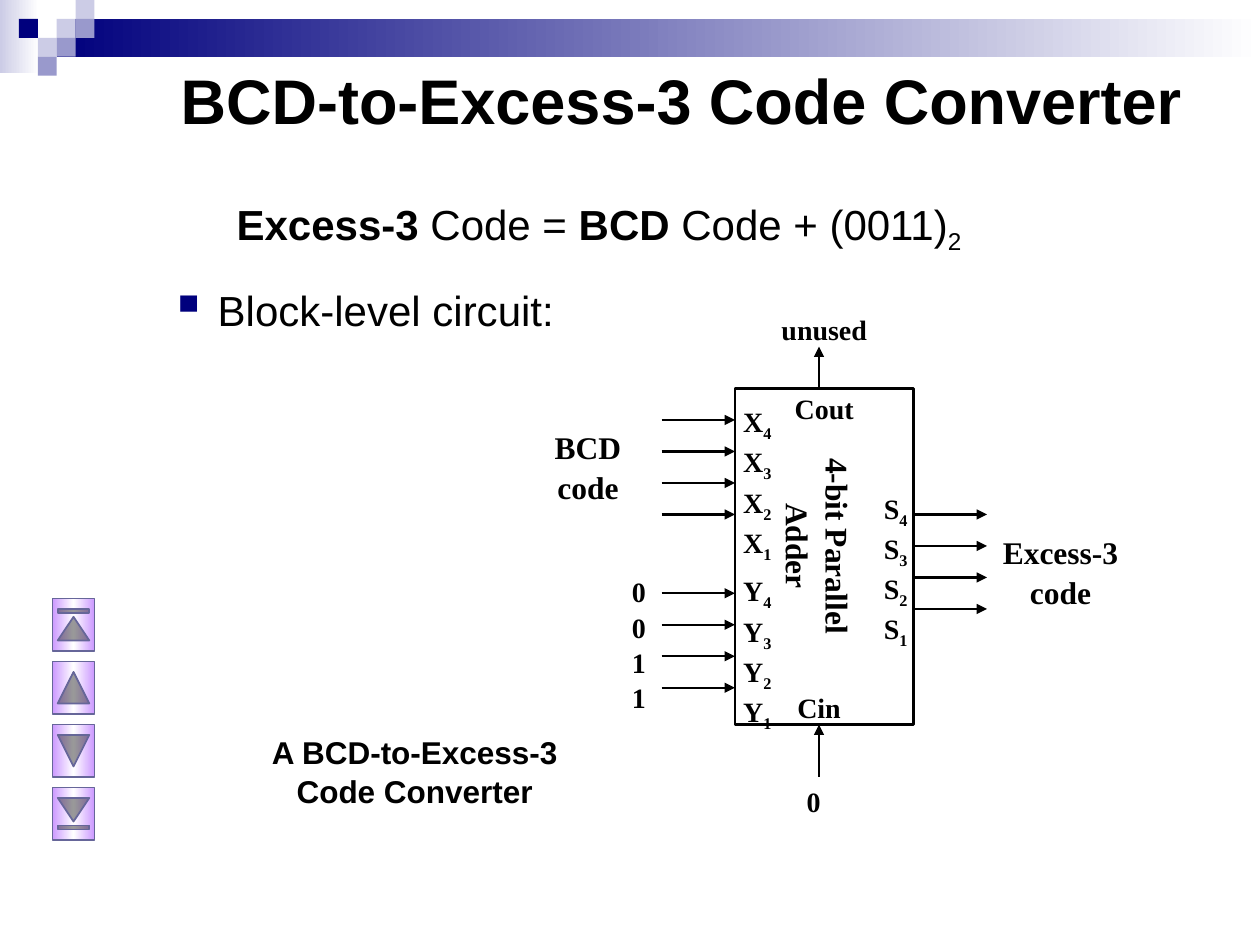
from copy import deepcopy
from lxml.etree import SubElement
from pptx import Presentation
from pptx.dml.color import RGBColor
from pptx.enum.shapes import MSO_CONNECTOR, MSO_SHAPE
from pptx.enum.text import MSO_ANCHOR, PP_ALIGN
from pptx.oxml.ns import qn
from pptx.util import Inches, Pt

HUES = {"ink": "000000", "navy": "00007D", "pale": "CCCCE6", "mid": "9999CC",
        "white": "FFFFFF", "lilac": "CC99FF", "edge": "666699"}
HUES = {key: RGBColor.from_string(val) for key, val in HUES.items()}
SERIF, SANS = "Times New Roman", "Arial"

deck = Presentation()
deck.slide_width, deck.slide_height = Inches(10), Inches(7.5)
cell = deck.slide_width / 120
slide = deck.slides.add_slide(deck.slide_layouts[5])
shapes = slide.shapes


def block(kind, spot, hues=(), angle=0, line=None, width=1):
    shape = shapes.add_shape(kind, *[int(n * cell) for n in spot])
    shape.shadow.inherit = False
    fill = shape.fill
    if len(hues) > 1:
        fill.gradient()
        fill.gradient_angle = angle
        stops = shape._element.spPr.find(".//" + qn("a:gsLst"))
        for _ in hues[2:]:
            stops.append(deepcopy(stops[0]))
        for i, (stop, hue) in enumerate(zip(fill.gradient_stops, hues)):
            stop.color.rgb = HUES[hue]
            stop.position = i / (len(hues) - 1)
    elif hues:
        fill.solid()
        fill.fore_color.rgb = HUES[hues[0]]
    else:
        fill.background()
    if line:
        shape.line.color.rgb = HUES[line]
        shape.line.width = Pt(width)
    else:
        shape.line.fill.background()
    return shape


def write(par, text, **look):
    main, _, sub = text.partition("_")
    for bit, base in ((main, None), (sub, "-25000")):
        if bit:
            run = par.add_run()
            run.text = bit
            for key, val in look.items():
                setattr(run.font, key, val)
            run.font.color.rgb = HUES["ink"]
            if base:
                run.font._element.set("baseline", base)


block(MSO_SHAPE.RECTANGLE, (0, 0, 3.7, 7), ("pale", "white"))
block(MSO_SHAPE.RECTANGLE, (5.4, 1.8, 114.6, 3.6), ("navy", "white"))
tile = 1.8
for col, row, hue in ((3, 1, "pale"), (4, 0, "pale"), (4, 1, "mid"), (2, 2, "pale"),
                      (1, 1, "navy"), (3, 2, "mid"), (2, 3, "mid")):
    block(MSO_SHAPE.RECTANGLE, (col * tile, row * tile, tile, tile), (hue,))

title = shapes.title
place = {"left": 16, "top": 2, "width": 102, "height": 15}
for key, val in place.items():
    setattr(title, key, int(val * cell))
title.text_frame.vertical_anchor = MSO_ANCHOR.MIDDLE
par = title.text_frame.paragraphs[0]
par.alignment = PP_ALIGN.LEFT
write(par, "BCD-to-Excess-3 Code Converter", name=SANS, size=Pt(36), bold=True)

body = shapes.add_textbox(*[int(n * cell) for n in (15, 18, 102, 14)]).text_frame
body.word_wrap = True
sum_par, item = body.paragraphs[0], body.add_paragraph()
sum_par._p.get_or_add_pPr().set("marL", str(Inches(0.53)))
props = item._p.get_or_add_pPr()
props.set("marL", str(Inches(0.38)))
props.set("indent", str(-Inches(0.38)))
SubElement(SubElement(props, qn("a:buClr")), qn("a:srgbClr")).set("val", str(HUES["navy"]))
SubElement(props, qn("a:buSzPct")).set("val", "120000")
SubElement(props, qn("a:buChar")).set("char", "▪")
item.space_before = Pt(15)
for par in body.paragraphs:
    par.line_spacing = 1.05
for text, bold in (("Excess-3", True), (" Code = ", False), ("BCD", True),
                   (" Code + (0011)_2", False)):
    write(sum_par, text, name=SANS, size=Pt(24), bold=bold)
write(item, "Block-level circuit:", name=SANS, size=Pt(24), bold=False)

block(MSO_SHAPE.RECTANGLE, (70, 37, 17, 32), line="ink", width=1.5)

wires = [(78, 74, 78, 69), (78, 37, 78, 33)]
for left, right, top in ((63, 70, 40), (63, 70, 56.5), (87, 94, 49)):
    wires += [(left, top + 3 * i, right, top + 3 * i) for i in range(4)]
for ends in wires:
    wire = shapes.add_connector(MSO_CONNECTOR.STRAIGHT, *[int(n * cell) for n in ends])
    wire.line.color.rgb = HUES["ink"]
    wire.line.width = Pt(1.25)
    SubElement(wire.line._get_or_add_ln(), qn("a:tailEnd")).set("type", "triangle")
    SubElement(wire._element.spPr, qn("a:effectLst"))

LEFT, MID = PP_ALIGN.LEFT, PP_ALIGN.CENTER
pins = [([f"{name}_{n}" for n in (4, 3, 2, 1)], (x, y, 6, 15.8), 16, LEFT, SERIF, 0)
        for name, x, y in (("X", 69.6, 37.8), ("Y", 69.6, 53.9), ("S", 83, 46))]
notes = pins + [
    (["4-bit Parallel Adder"], (68.2, 47.8, 20, 8.4), 18, MID, SERIF, 90),
    (list("0011"), (59, 54, 4, 14), 16, LEFT, SERIF, 0),
    (["BCD", "code"], (51, 40, 10, 8.4), 18, MID, SERIF, 0),
    (["Excess-3", "code"], (94, 50, 14, 8.4), 18, MID, SERIF, 0),
    (["unused"], (73, 29, 11, 4.4), 16, MID, SERIF, 0),
    (["0"], (75, 74, 5, 4.4), 16, MID, SERIF, 0),
    (["Cin"], (74, 65, 8, 4.4), 16, MID, SERIF, 0),
    (["Cout"], (74, 36.5, 9, 4.4), 16, MID, SERIF, 0),
    (["A BCD-to-Excess-3 Code Converter"], (22, 69, 35, 8.4), 18, MID, SANS, 0)]
for lines, spot, size, align, face, turn in notes:
    note = shapes.add_textbox(*[int(n * cell) for n in spot])
    note.rotation = turn
    frame = note.text_frame
    frame.word_wrap = True
    for i, text in enumerate(lines):
        par = frame.add_paragraph() if i else frame.paragraphs[0]
        par.alignment = align
        par.line_spacing = 1.05
        write(par, text, name=face, size=Pt(size), bold=True)

for i, kind in enumerate((MSO_SHAPE.ACTION_BUTTON_BEGINNING,
                          MSO_SHAPE.ACTION_BUTTON_BACK_OR_PREVIOUS,
                          MSO_SHAPE.ACTION_BUTTON_FORWARD_OR_NEXT,
                          MSO_SHAPE.ACTION_BUTTON_END)):
    key = block(kind, (4.5, 57.5 + 6 * i, 5, 4), ("lilac", "white", "lilac"), 90, "edge")
    key.rotation = 90

deck.save("out.pptx")
